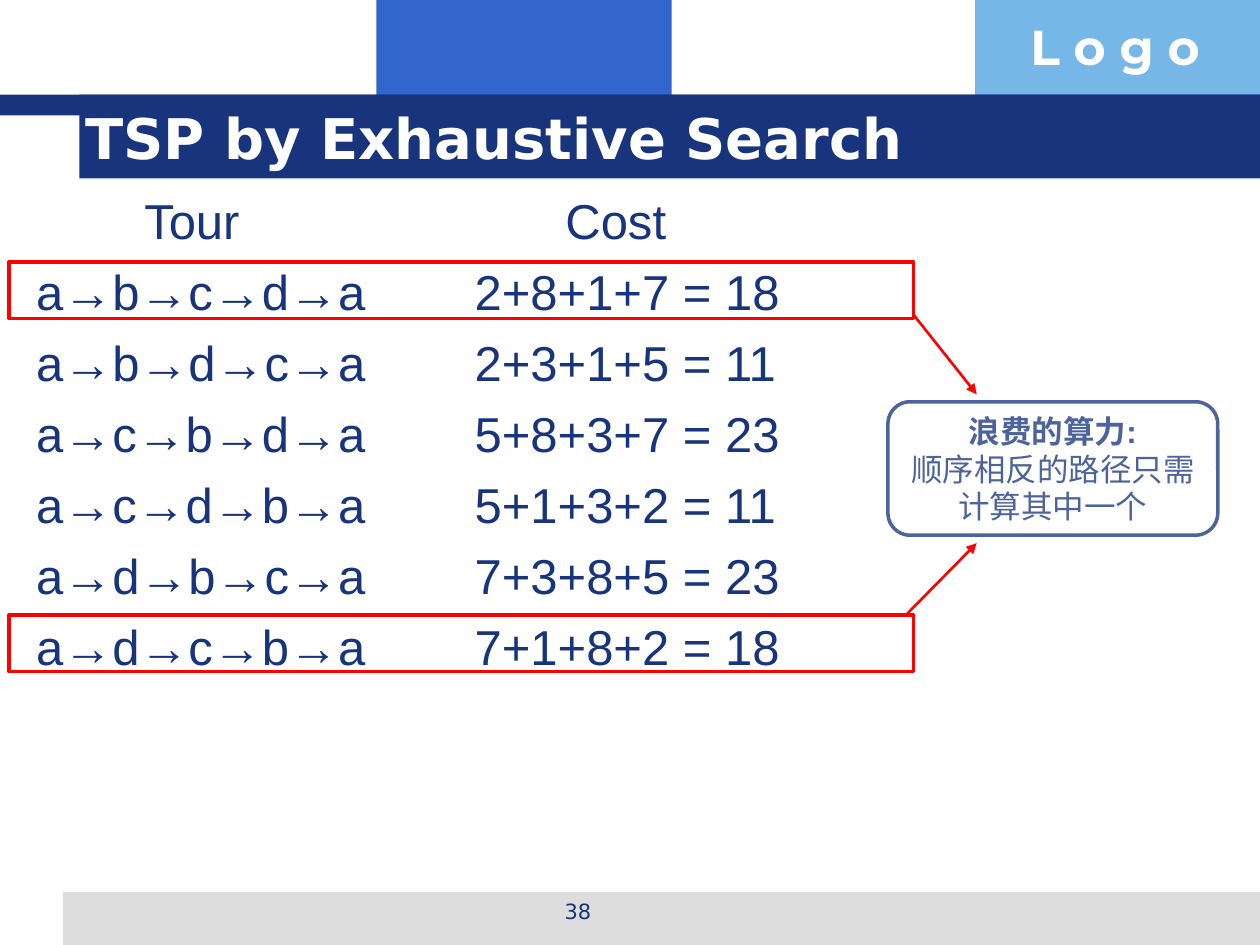
from lxml import etree
from pptx import Presentation
from pptx import util as u
from pptx.dml.color import RGBColor
from pptx.enum import shapes, text
from pptx.oxml.ns import qn

NAVY = RGBColor(0x17, 0x34, 0x7D)
BLUE = RGBColor(0x33, 0x66, 0xCC)
SKY = RGBColor(0x77, 0xB7, 0xE7)
GREY = RGBColor(0xDD, 0xDD, 0xDD)
SLATE = RGBColor(0x4D, 0x63, 0x9B)
RED = RGBColor(0xFF, 0, 0)
WHITE = RGBColor(0xFF, 0xFF, 0xFF)

COST_TAB = 8.84
HEADER_TABS = (2.18, 10.67, 17.9)
TOURS = [
    ("a→b→c→d→a", "2+8+1+7 = 18"),
    ("a→b→d→c→a", "2+3+1+5 = 11"),
    ("a→c→b→d→a", "5+8+3+7 = 23"),
    ("a→c→d→b→a", "5+1+3+2 = 11"),
    ("a→d→b→c→a", "7+3+8+5 = 23"),
    ("a→d→c→b→a", "7+1+8+2 = 18"),
]


class SlideBuilder:
    """Holds the style and the current page; all lengths are in centimetres."""

    body_font = "Arial"
    heading_font = "DejaVu Sans"
    logo_font = "Montserrat"

    def __init__(self, page):
        self.page = page

    def shape(self, left, top, width, height, fill=None, line=None,
              kind=shapes.MSO_SHAPE.RECTANGLE):
        box = self.page.shapes.add_shape(
            kind, u.Cm(left), u.Cm(top), u.Cm(width), u.Cm(height))
        box.shadow.inherit = False
        if fill is None:
            box.fill.background()
        else:
            box.fill.solid()
            box.fill.fore_color.rgb = fill
        if line is None:
            box.line.fill.background()
        else:
            box.line.color.rgb = line
            box.line.width = u.Pt(2)
        return box

    def text_box(self, left, top, width, height, anchor=text.MSO_ANCHOR.TOP):
        box = self.page.shapes.add_textbox(
            u.Cm(left), u.Cm(top), u.Cm(width), u.Cm(height))
        box.text_frame.word_wrap = True
        box.text_frame.vertical_anchor = anchor
        return box

    def paragraph(self, box, spans, size, color, font=None, bold=False,
                  align=text.PP_ALIGN.LEFT, tabs=(), before=0):
        """Add a paragraph to box; spans is a list of (text, underlined)."""
        frame = box.text_frame
        first = frame.paragraphs[0]
        is_first = not first.runs
        para = first if is_first else frame.add_paragraph()
        para.alignment = align
        if before and not is_first:
            para.space_before = u.Pt(before)
        if tabs:
            tab_list = etree.SubElement(para._p.get_or_add_pPr(), qn("a:tabLst"))
            for position in tabs:
                etree.SubElement(tab_list, qn("a:tab"),
                                 pos=str(u.Cm(position)), algn="l")
        for words, underlined in spans:
            span = para.add_run()
            span.text = words
            if underlined:
                span.font.underline = True
        para.font.name = font or self.body_font
        para.font.size = u.Pt(size)
        para.font.bold = bold
        para.font.color.rgb = color

    def arrow(self, start, end, color):
        points = [u.Cm(value) for value in (*start, *end)]
        line = self.page.shapes.add_connector(
            shapes.MSO_CONNECTOR.STRAIGHT, *points)
        line.line.color.rgb = color
        line.line.width = u.Pt(1.5)
        etree.SubElement(line.line._get_or_add_ln(), qn("a:tailEnd"),
                         type="triangle")
        etree.SubElement(line._element.spPr, qn("a:effectLst"))


def add_frame(slide):
    for bar in [(7.59, 0, 5.95, 2.34, BLUE), (19.66, 0, 5.74, 2.34, SKY),
                (1.27, 17.98, 24.13, 1.07, GREY), (0, 1.91, 25.4, 0.42, NAVY),
                (1.6, 1.91, 23.8, 1.69, NAVY)]:
        slide.shape(*bar)
    logo = slide.text_box(20.52, 0.2, 4.88, 1.45)
    slide.paragraph(logo, [("L o g o", False)], 28, WHITE,
                    slide.logo_font, bold=True)
    title = slide.text_box(1.47, 1.91, 23.06, 1.69, text.MSO_ANCHOR.MIDDLE)
    slide.paragraph(title, [("TSP by Exhaustive Search", False)], 32, WHITE,
                    slide.heading_font, bold=True)
    number = slide.text_box(8.69, 17.98, 5.92, 0.89)
    slide.paragraph(number, [("38", False)], 12, NAVY, slide.heading_font,
                    align=text.PP_ALIGN.CENTER)


def add_tours(slide):
    listing = slide.text_box(0.48, 3.71, 18.62, 14.3)
    slide.paragraph(listing, [("\tTour\tCost", False), ("\t", True)], 28, NAVY,
                    tabs=HEADER_TABS)
    for tour, cost in TOURS:
        slide.paragraph(listing, [(f"{tour}\t{cost}", False)], 28, NAVY,
                        tabs=[COST_TAB], before=7)


def add_remark(slide):
    for top in (5.28, 12.4):
        slide.shape(0.18, top, 18.24, 1.14, line=RED)
    remark = slide.shape(17.9, 8.1, 6.65, 2.69, line=SLATE,
                         kind=shapes.MSO_SHAPE.FLOWCHART_ALTERNATE_PROCESS)
    for words, bold in [("浪费的算力:", True),
                        ("顺序相反的路径只需计算其中一个", False)]:
        slide.paragraph(remark, [(words, False)], 18, SLATE, bold=bold,
                        align=text.PP_ALIGN.CENTER)
    slide.arrow((18.42, 6.35), (19.69, 7.95), RED)
    slide.arrow((18.26, 12.4), (19.69, 10.95), RED)


def main():
    deck = Presentation()
    deck.slide_width, deck.slide_height = u.Cm(25.4), u.Cm(19.05)
    slide = SlideBuilder(deck.slides.add_slide(deck.slide_layouts[6]))
    add_frame(slide)
    add_tours(slide)
    add_remark(slide)
    deck.save("out.pptx")


if __name__ == "__main__":
    main()
